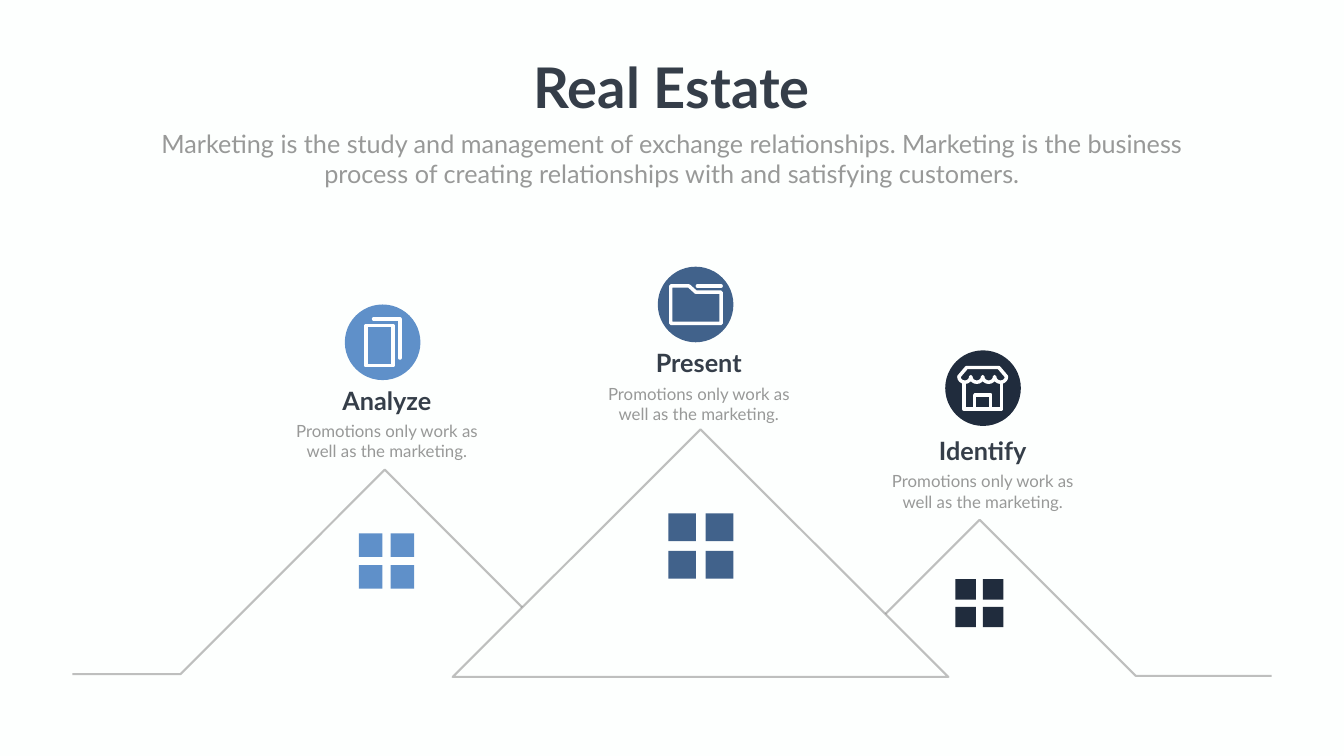
from math import cos, pi, sin
from lxml.etree import SubElement
from pptx import Presentation
from pptx.dml.color import RGBColor
from pptx.enum.shapes import MSO_SHAPE
from pptx.enum.text import MSO_AUTO_SIZE, PP_ALIGN
from pptx.oxml.ns import qn
from pptx.util import Pt

COLORS = {
    "page": "FDFFFE", "edge": "808080", "white": "FFFFFF",
    "head": "353E49", "body": "989998",
    "sky": "5F90C9", "steel": "41628B", "navy": "202C3D",
}
BLURB = "Promotions only work as well as the marketing."
BADGE = 108


def tint(name):
    return RGBColor.from_string(COLORS[name])


def paint(shape, fill=None, line=None, width=3):
    shape.shadow.inherit = False
    if fill:
        shape.fill.solid()
        shape.fill.fore_color.rgb = tint(fill)
    else:
        shape.fill.background()
    if line:
        shape.line.color.rgb = tint(line)
        shape.line.width = Pt(width)
    else:
        shape.line.fill.background()


def trace(slide, points, closed=False):
    spots = [(Pt(x), Pt(y)) for x, y in points]
    build = slide.shapes.build_freeform(*spots[0], scale=1.0)
    build.add_line_segments(spots[1:], close=closed)
    return build.convert_to_shape()


def write(slide, text, box, size=24, color="body", bold=False, wrap=True):
    shape = slide.shapes.add_textbox(*map(Pt, box))
    frame = shape.text_frame
    frame.word_wrap = wrap
    frame.auto_size = MSO_AUTO_SIZE.SHAPE_TO_FIT_TEXT
    para = frame.paragraphs[0]
    para.alignment = PP_ALIGN.CENTER
    run = para.add_run()
    run.text = text
    run.font.name = "Lato"
    run.font.size = Pt(size)
    run.font.bold = bold
    run.font.color.rgb = tint(color)


def header(slide, left, top, width):
    write(slide, "Real Estate", (left + width / 2 - 209.5, top, 419, 104),
          size=80, color="head", bold=True, wrap=False)
    write(slide, "Marketing is the study and management of exchange relationships. "
          "Marketing is the business process of creating relationships with and "
          "satisfying customers.", (left, top + 107.5, width, 94), size=36)


def house(slide, peak, top, half, base, end=None):
    side = -1 if end and end < peak else 1
    points = [(peak - side * half, base), (peak, top), (peak + side * half, base)]
    if end:
        points.append((end, base))
    shape = trace(slide, points, closed=end is None)
    paint(shape, fill="page", line="edge")
    ink = shape.line._get_or_add_ln().find(".//" + qn("a:srgbClr"))
    SubElement(ink, qn("a:alpha"), val="50000")


def window(slide, left, top, span, color):
    pane, step = span * 0.425, span * 0.575
    for row in range(2):
        for col in range(2):
            shape = slide.shapes.add_shape(
                MSO_SHAPE.RECTANGLE, Pt(left + col * step), Pt(top + row * step),
                Pt(pane), Pt(pane))
            paint(shape, fill=color)


def awning():
    roof = [(19.5, 37.5), (30.5, 24.5), (76.5, 24.5), (87.5, 37.5)]
    for bay in reversed(range(4)):
        for step in range(1, 9):
            turn = pi * step / 8
            roof.append((19.5 + 17 * bay + 8.5 * (1 + cos(turn)), 37.5 + 8 * sin(turn)))
    return roof


ICONS = {
    "pages": [
        ([(30, 30), (68.5, 30), (68.5, 87.5), (30, 87.5)], True),
        ([(41, 20.5), (78.5, 20.5), (78.5, 76.5)], False),
    ],
    "folder": [
        ([(18.5, 27.5), (44.5, 27.5), (54.5, 36.5), (90.5, 36.5),
          (90.5, 81), (18.5, 81)], True),
        ([(56.5, 27.5), (90.5, 27.5)], False),
    ],
    "store": [
        (awning(), True),
        ([(26.5, 46), (26.5, 84), (80.5, 84), (80.5, 46)], False),
        ([(42, 84), (42, 63.5), (65, 63.5), (65, 84)], False),
    ],
}


def badge(slide, left, top, color, icon):
    disc = slide.shapes.add_shape(
        MSO_SHAPE.OVAL, Pt(left), Pt(top), Pt(BADGE), Pt(BADGE))
    paint(disc, fill=color)
    for points, closed in ICONS[icon]:
        shape = trace(slide, [(left + x, top + y) for x, y in points], closed)
        paint(shape, line="white", width=5)
        edge = shape.line._get_or_add_ln()
        edge.set("cap", "rnd")
        SubElement(edge, qn("a:round"))


def label(slide, left, top, name):
    write(slide, name, (left + 51, top, 188, 51), size=36, color="head", bold=True)
    write(slide, BLURB, (left, top + 51, 290, 65))


def main():
    deck = Presentation()
    deck.slide_width, deck.slide_height = Pt(1919.5), Pt(1080)
    slide = deck.slides.add_slide(deck.slide_layouts[6])
    slide.background.fill.solid()
    slide.background.fill.fore_color.rgb = tint("page")

    house(slide, 1399, 742.5, 223, 965.5, end=1816)
    house(slide, 549.5, 671, 291.5, 963, end=103.5)
    house(slide, 1000.5, 613.5, 354, 967)

    plots = [
        ("Analyze", "sky", "pages", (512.5, 762, 79), (492.5, 435), (407.5, 546.5)),
        ("Present", "steel", "folder", (954.5, 733.5, 93), (939.5, 381), (853, 493)),
        ("Identify", "navy", "store", (1364.5, 827.5, 68.5), (1350, 500.5), (1258.5, 618.5)),
    ]
    for name, color, icon, panes, disc, words in plots:
        window(slide, *panes, color)
        badge(slide, *disc, color, icon)
        label(slide, *words, name)

    header(slide, 210, 72, 1499)
    deck.save("out.pptx")


if __name__ == "__main__":
    main()
